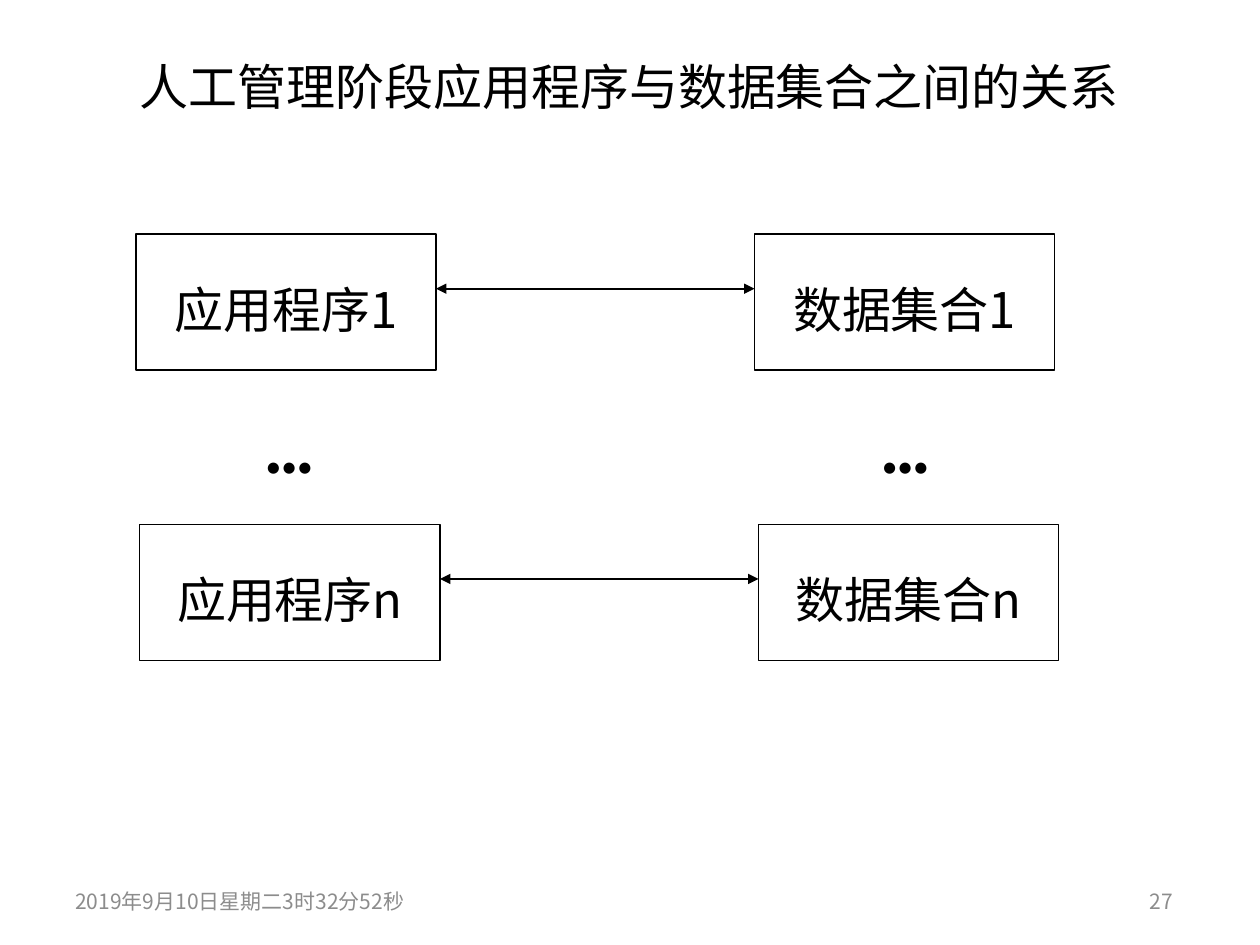
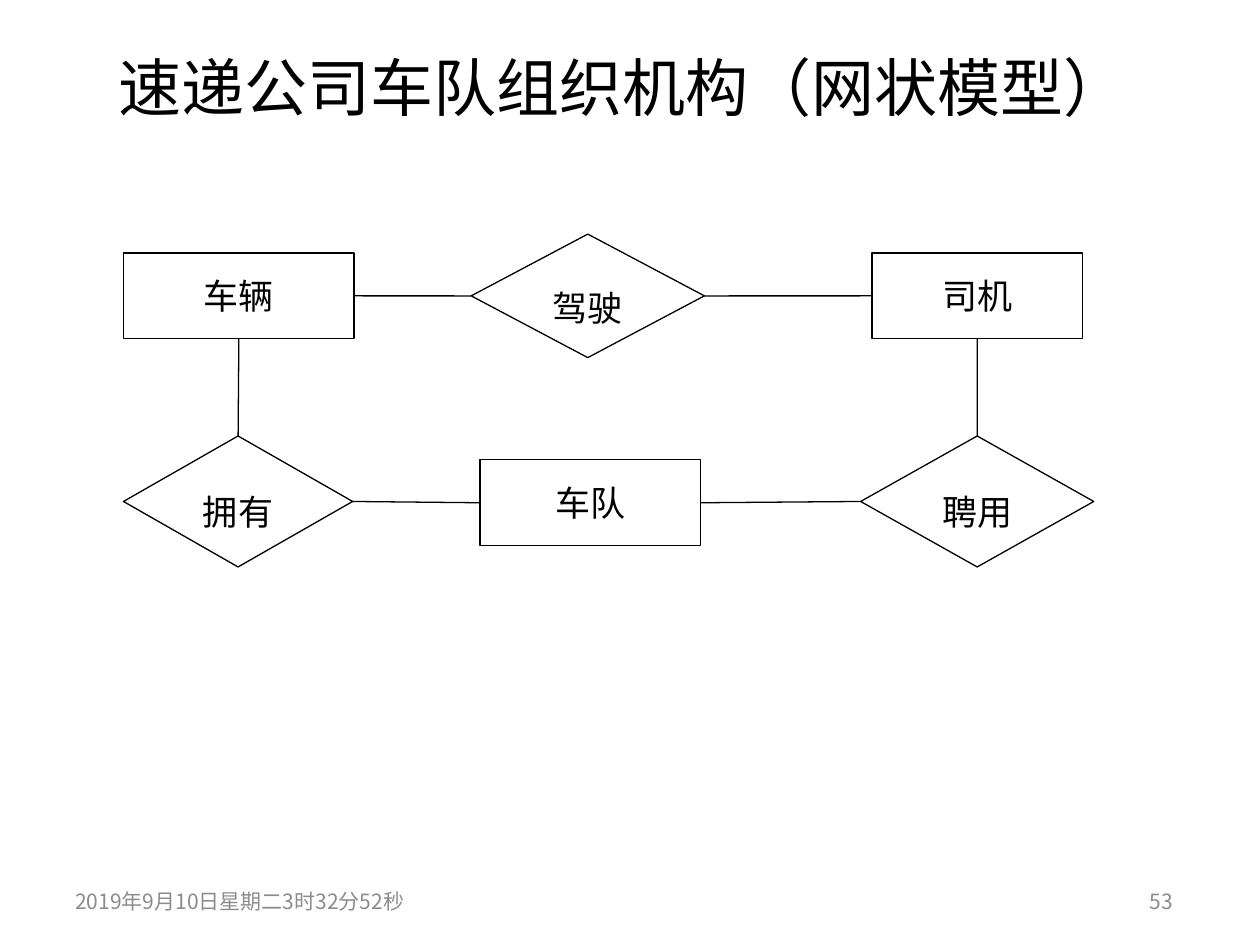
import pptx
import pptx.util
import pptx.dml.color
import pptx.enum.shapes
import pptx.enum.text
import pptx.oxml.ns
import lxml.etree

Cm, Pt = pptx.util.Cm, pptx.util.Pt
KIND = pptx.enum.shapes.MSO_SHAPE
ALIGN = pptx.enum.text.PP_ALIGN
ANCHOR = pptx.enum.text.MSO_ANCHOR

COLOR = {"ink": "000000", "paper": "FFFFFF", "muted": "8C8C8C"}
FONT = "Noto Sans CJK SC"
DATE = "2019年9月10日星期二3时32分52秒"
TOP, LEFT, BOTTOM, RIGHT = range(4)  # connection sites of a node


def rgb(name):
    return pptx.dml.color.RGBColor.from_string(COLOR[name])


def add_tag(parent, tag, **attrs):
    return lxml.etree.SubElement(parent, pptx.oxml.ns.qn(tag), **attrs)


def put(item, values):
    """Set each attribute of item that values names."""
    for key, value in values.items():
        setattr(item, key, value)


def write(shape, text, size, color="ink", align=ALIGN.CENTER,
          anchor=ANCHOR.MIDDLE, font=FONT, pitch=None):
    frame = shape.text_frame
    put(frame, {"word_wrap": True, "vertical_anchor": anchor,
                "auto_size": pptx.enum.text.MSO_AUTO_SIZE.NONE})
    para = frame.paragraphs[0]
    put(para, {"alignment": align, "line_spacing": pitch and Pt(pitch)})
    run = para.add_run()
    run.text = text
    put(run.font, {"size": Pt(size), "name": font})
    run.font.color.rgb = rgb(color)
    add_tag(run._r.get_or_add_rPr(), "a:ea", typeface=font)


def add_page(deck, title, size, number):
    """Add a slide with its title, date and page number."""
    slide = deck.slides.add_slide(deck.slide_layouts[5])
    head = slide.shapes.title
    put(head, {"left": Cm(1.27), "top": Cm(0.76),
               "width": Cm(22.83), "height": Cm(1.96)})
    write(head, title, size)
    for text, left, width, align in (
            (DATE, 1.27, 7.62, ALIGN.LEFT),
            (str(number), 18.21, 5.69, ALIGN.RIGHT)):
        box = slide.shapes.add_textbox(Cm(left), Cm(17.65), Cm(width), Cm(1.02))
        write(box, text, 12, "muted", align)
    return slide


def add_node(slide, text, place, size, pitch, kind=KIND.RECTANGLE):
    node = slide.shapes.add_shape(kind, *map(Cm, place))
    node.shadow.inherit = False
    node.fill.solid()
    node.fill.fore_color.rgb = rgb("paper")
    node.line.color.rgb = rgb("ink")
    node.line.width = Pt(0.75)
    write(node, text, size, anchor=ANCHOR.TOP, pitch=pitch)
    return node


def add_dots(slide, left, top):
    dots = slide.shapes.add_textbox(Cm(left), Cm(top), Cm(4.6), Cm(1.8))
    put(dots.text_frame, {"margin_top": Cm(0.53), "margin_bottom": 0})
    write(dots, "•••", 18, font="Calibri")


def add_line(slide, start=(0, 0), end=(0, 0), width=0.75, arrows=False):
    line = slide.shapes.add_connector(
        pptx.enum.shapes.MSO_CONNECTOR.STRAIGHT, *map(Cm, start + end))
    line.line.color.rgb = rgb("ink")
    line.line.width = Pt(width)
    if arrows:
        for tag in ("a:headEnd", "a:tailEnd"):
            add_tag(line.line._get_or_add_ln(), tag, type="triangle")
    add_tag(line._element.spPr, "a:effectLst")
    return line


def link(slide, first, site, second, target):
    line = add_line(slide)
    line.begin_connect(first, site)
    line.end_connect(second, target)


def draw_sets(deck):
    """Programs, each tied to its own data set."""
    slide = add_page(deck, "人工管理阶段应用程序与数据集合之间的关系", 28, 27)
    wide, high, step = 6.05, 2.74, 12.47
    for mark, left, top in (("1", 2.74, 4.72), ("n", 2.82, 10.57)):
        for col, name in enumerate(("应用程序", "数据集合")):
            place = (left + col * step, top, wide, high)
            add_node(slide, name + mark, place, 28, 56)
        level = top + 1.1
        add_line(slide, (left + wide, level), (left + step, level), 1, True)
    for left in (3.53, 15.95):
        add_dots(slide, left, 8.2)


def draw_fleet(deck):
    """Entities and relations of the fleet."""
    slide = add_page(deck, "速递公司车队组织机构（网状模型） ", 36, 53)
    rect, rhomb = KIND.RECTANGLE, KIND.DIAMOND
    nodes = {
        name: add_node(slide, name, place, 20, 33, kind)
        for name, kind, place in (
            ("车辆", rect, (2.49, 5.1, 4.65, 1.73)),
            ("司机", rect, (17.58, 5.1, 4.24, 1.73)),
            ("车队", rect, (9.68, 9.27, 4.45, 1.73)),
            ("拥有", rhomb, (2.49, 8.79, 4.62, 2.64)),
            ("聘用", rhomb, (17.35, 8.79, 4.7, 2.64)),
            ("驾驶", rhomb, (9.5, 4.72, 4.7, 2.49)))}
    for first, site, second, target in (
            ("车辆", RIGHT, "驾驶", LEFT),
            ("司机", LEFT, "驾驶", RIGHT),
            ("车队", RIGHT, "聘用", LEFT),
            ("车队", LEFT, "拥有", RIGHT),
            ("车辆", BOTTOM, "拥有", TOP),
            ("司机", BOTTOM, "聘用", TOP)):
        link(slide, nodes[first], site, nodes[second], target)


def main():
    deck = pptx.Presentation()
    put(deck, {"slide_width": Cm(25.4), "slide_height": Cm(19.05)})
    draw_sets(deck)
    draw_fleet(deck)
    deck.save("out.pptx")


if __name__ == "__main__":
    main()
